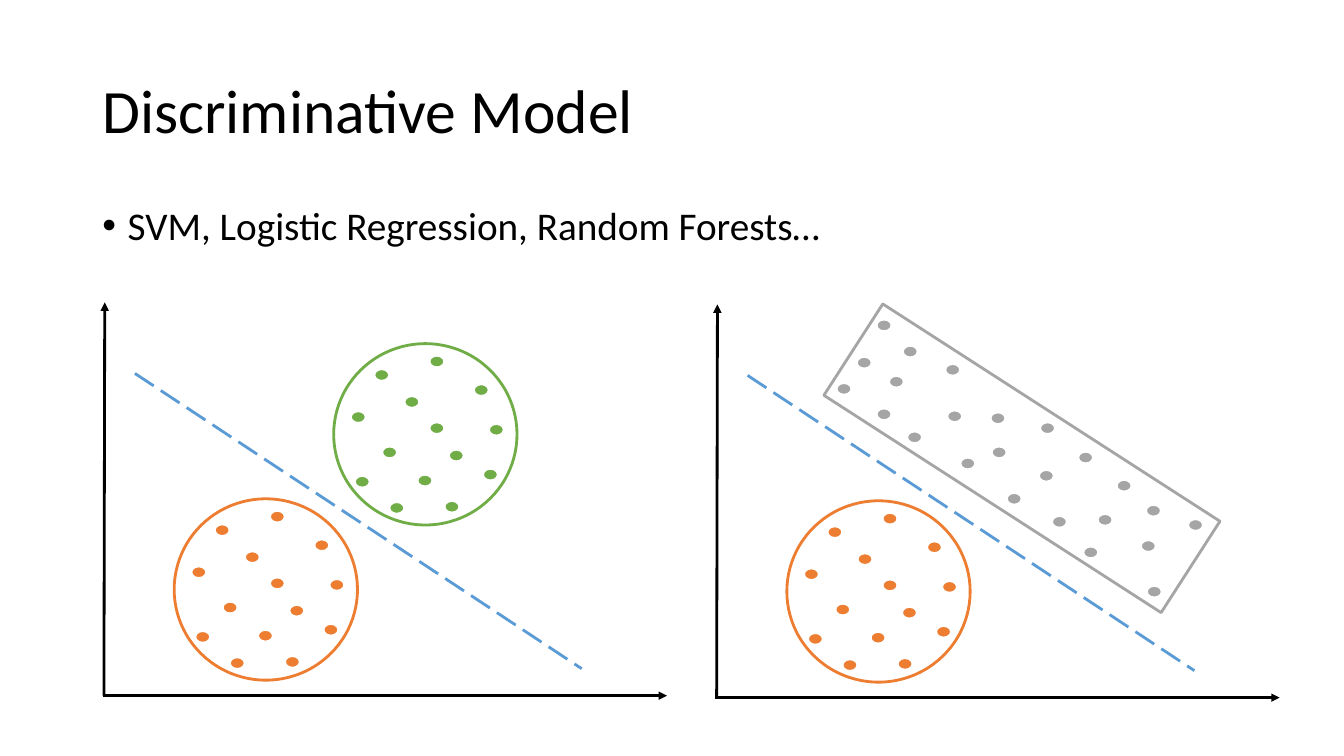
import pptx
import pptx.dml.color
import pptx.enum.dml
import pptx.enum.shapes
import pptx.enum.text
import pptx.oxml.ns
import pptx.util
from lxml import etree
from pptx.util import Cm, Pt

TITLE = "Discriminative Model"
METHODS = "SVM, Logistic Regression, Random Forests…"

THEME = {
    "font": "Calibri", "title_size": 44, "body_size": 28,
    "ink": "000000", "paper": "FFFFFF", "boundary": "5B9BD5",
    "orange": "ED7D31", "green": "70AD47", "grey": "A5A5A5",
    "line_width": 2, "dot_outline": 1.5,
}

# All lengths are centimetres; a plot's parts are measured from its top left.
SLIDE_SIZE = (33.87, 19.05)
TITLE_AREA = (2.33, 1.02, 29.21, 3.68)
BODY_AREA = (2.33, 5.08, 29.21, 12.09)
DOT_SIZE = (0.38, 0.30)
CIRCLE_SIZE = (4.62, 4.57)

AXES = [((0.03, 9.91), (0.05, 0)), ((0, 9.91), (14.22, 9.91))]
BOUNDARY = ((0.81, 1.79), (12.07, 9.23))

# Dots of a circle, measured from the circle's top left.
CIRCLE_DOTS = [
    (1.02, 0.64), (2.41, 0.30), (0.43, 1.70), (3.53, 1.02), (3.91, 2.02),
    (0.53, 3.33), (1.40, 3.99), (2.79, 3.96), (3.76, 3.15), (1.22, 2.59),
    (2.41, 1.98), (2.11, 3.30), (1.78, 1.32), (2.90, 2.67),
]
# Dots of the tilted band, measured from the plot's top left.
BAND_DOTS = [
    (4.06, 0.38), (3.05, 1.98), (11.91, 5.41), (10.87, 7.09), (8.18, 2.97),
    (7.34, 4.75), (5.79, 1.50), (10.11, 4.42), (4.83, 3.20), (9.27, 6.10),
    (4.37, 1.80), (5.84, 2.67), (6.96, 3.58), (8.15, 4.17), (9.63, 5.28),
    (10.72, 5.94), (6.93, 2.72), (8.48, 5.33), (6.17, 3.86), (4.06, 2.62),
    (9.14, 3.71), (4.72, 1.04), (3.56, 1.32), (10.85, 5.05),
]


def circle(color, at):
    return {"kind": "OVAL", "color": color, "at": at, "size": CIRCLE_SIZE,
            "tilt": 0, "dots": CIRCLE_DOTS, "dots_from": at}


ORANGE = circle("orange", (1.80, 4.95))
GREEN = circle("green", (5.82, 1.04))
BAND = {"kind": "RECTANGLE", "color": "grey", "at": (2.67, 2.51),
        "size": (10.11, 2.74), "tilt": 32.8, "dots": BAND_DOTS,
        "dots_from": (0, 0)}
PLOTS = [((2.59, 7.62), [ORANGE, GREEN]), ((18.03, 7.67), [ORANGE, BAND])]


def rgb(name):
    return pptx.dml.color.RGBColor.from_string(THEME[name])


def shift(origin, point):
    return origin[0] + point[0], origin[1] + point[1]


def add_text(page, text, area, size, anchor="TOP", bullet=None):
    box = page.shapes.add_textbox(*map(Cm, area))
    frame = box.text_frame
    frame.word_wrap = True
    frame.vertical_anchor = getattr(pptx.enum.text.MSO_ANCHOR, anchor)
    para = frame.paragraphs[0]
    para.line_spacing = 0.9
    if bullet:
        props = para._p.get_or_add_pPr()
        props.set("marL", str(Cm(0.64)))
        props.set("indent", str(Cm(-0.64)))
        font = etree.SubElement(props, pptx.oxml.ns.qn("a:buFont"))
        font.set("typeface", "Arial")
        mark = etree.SubElement(props, pptx.oxml.ns.qn("a:buChar"))
        mark.set("char", bullet)
    span = para.add_run()
    span.text = text
    span.font.name = THEME["font"]
    span.font.size = Pt(size)
    span.font.color.rgb = rgb("ink")


def add_line(page, start, end, color, arrow=False, dashed=False):
    line = page.shapes.add_connector(
        pptx.enum.shapes.MSO_CONNECTOR.STRAIGHT, *map(Cm, start + end))
    line.line.color.rgb = rgb(color)
    line.line.width = Pt(THEME["line_width"])
    if dashed:
        line.line.dash_style = pptx.enum.dml.MSO_LINE.LONG_DASH
    props = line._element.spPr
    if arrow:
        head = etree.SubElement(props.find(pptx.oxml.ns.qn("a:ln")),
                                pptx.oxml.ns.qn("a:tailEnd"))
        head.set("type", "triangle")
    etree.SubElement(props, pptx.oxml.ns.qn("a:effectLst"))


def add_shape(page, kind, at, size, fill, outline, width, tilt=0):
    shape = page.shapes.add_shape(
        getattr(pptx.enum.shapes.MSO_SHAPE, kind), *map(Cm, at + size))
    shape.rotation = tilt
    shape.shadow.inherit = False
    shape.fill.solid()
    shape.fill.fore_color.rgb = rgb(fill)
    shape.line.color.rgb = rgb(outline)
    shape.line.width = Pt(width)


def add_region(page, origin, region):
    """Draw the outline of one class and the samples inside it."""
    add_shape(page, region["kind"], shift(origin, region["at"]),
              region["size"], "paper", region["color"],
              THEME["line_width"], region["tilt"])
    dots_origin = shift(origin, region["dots_from"])
    for dot in region["dots"]:
        add_shape(page, "OVAL", shift(dots_origin, dot), DOT_SIZE,
                  region["color"], "paper", THEME["dot_outline"])


def add_plot(page, origin, regions):
    for start, end in AXES:
        add_line(page, shift(origin, start), shift(origin, end), "ink",
                 arrow=True)
    start, end = BOUNDARY
    add_line(page, shift(origin, start), shift(origin, end), "boundary",
             dashed=True)
    for region in regions:
        add_region(page, origin, region)


def main():
    deck = pptx.Presentation()
    deck.slide_width, deck.slide_height = map(Cm, SLIDE_SIZE)
    page = deck.slides.add_slide(deck.slide_layouts[6])
    add_text(page, METHODS, BODY_AREA, THEME["body_size"], bullet="•")
    add_text(page, TITLE, TITLE_AREA, THEME["title_size"], anchor="MIDDLE")
    for origin, regions in PLOTS:
        add_plot(page, origin, regions)
    deck.save("out.pptx")


if __name__ == "__main__":
    main()
